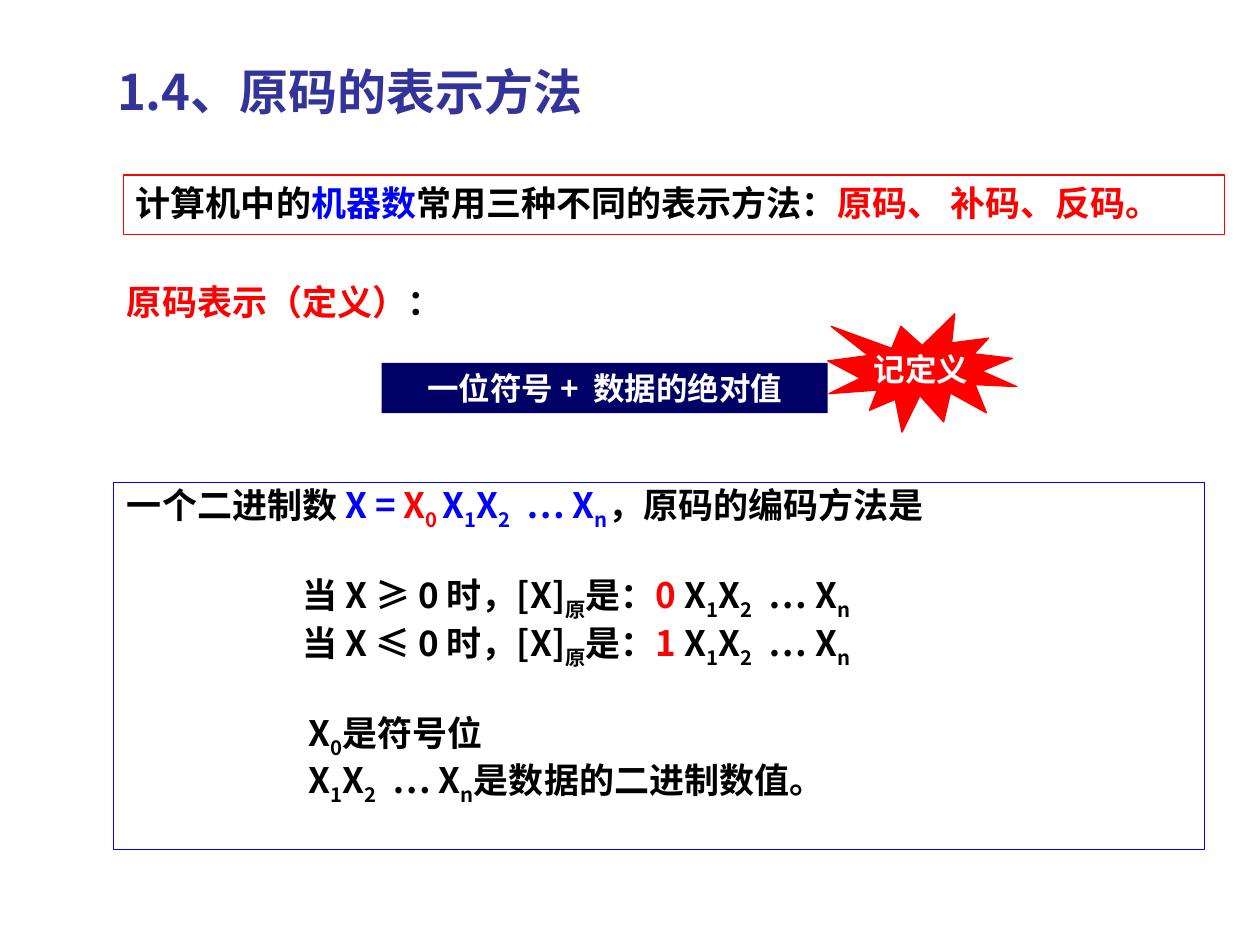
"""Builds the slide on the sign-magnitude representation of binary numbers."""
from dataclasses import dataclass
from typing import Optional

from lxml.etree import SubElement
from pptx import Presentation
from pptx.dml.color import RGBColor
from pptx.enum.shapes import MSO_SHAPE
from pptx.enum.text import MSO_ANCHOR, PP_ALIGN
from pptx.oxml.ns import qn
from pptx.util import Inches, Pt

FONT = "Noto Sans CJK SC"
BLACK, WHITE, RED, BLUE = "000000", "FFFFFF", "FF0000", "0000FF"
NAVY, INDIGO = "000066", "333399"
CASE_INDENT, BIT_INDENT = 1.39, 1.44


@dataclass
class Piece:
    text: str
    color: str = BLACK
    subscript: bool = False


@dataclass
class Line:
    pieces: list[Piece]
    indent: float = 0
    before: float = 0


@dataclass
class Panel:
    kind: MSO_SHAPE
    place: tuple[float, float, float, float]
    fill: Optional[str] = None
    outline: Optional[str] = None
    pieces: tuple[Piece, ...] = ()
    size: float = 18
    align: PP_ALIGN = PP_ALIGN.CENTER
    anchor: MSO_ANCHOR = MSO_ANCHOR.TOP
    wrap: bool = True
    before: float = 0


def rgb(color: str) -> RGBColor:
    return RGBColor.from_string(color)


def write_pieces(paragraph, pieces, size: float) -> None:
    for piece in pieces:
        run = paragraph.add_run()
        run.text = piece.text
        run.font.size = Pt(size)
        run.font.bold = True
        run.font.name = FONT
        run.font.color.rgb = rgb(piece.color)
        properties = run._r.get_or_add_rPr()
        SubElement(properties, qn("a:ea")).set("typeface", FONT)
        if piece.subscript:
            properties.set("baseline", "-25000")


def write_title(slide, text: str) -> None:
    title = slide.shapes.title
    title.left, title.top = Inches(0.83), Inches(0.44)
    title.width, title.height = Inches(4.49), Inches(0.57)
    frame = title.text_frame
    frame.word_wrap = True
    frame.vertical_anchor = MSO_ANCHOR.TOP
    frame.paragraphs[0].alignment = PP_ALIGN.LEFT
    write_pieces(frame.paragraphs[0], [Piece(text, INDIGO)], 28)


def draw_panel(slide, panel: Panel) -> None:
    shape = slide.shapes.add_shape(panel.kind, *map(Inches, panel.place))
    shape.shadow.inherit = False
    if panel.fill:
        shape.fill.solid()
        shape.fill.fore_color.rgb = rgb(panel.fill)
    else:
        shape.fill.background()
    if panel.outline:
        shape.line.color.rgb = rgb(panel.outline)
        shape.line.width = Pt(0.75)
    else:
        shape.line.fill.background()
    frame = shape.text_frame
    frame.word_wrap = panel.wrap
    frame.vertical_anchor = panel.anchor
    frame.paragraphs[0].alignment = panel.align
    write_pieces(frame.paragraphs[0], panel.pieces, panel.size)


def write_lines(slide, place: tuple[float, ...], lines: list[Line]) -> None:
    frame = slide.shapes.add_textbox(*map(Inches, place)).text_frame
    frame.word_wrap = True
    for index, line in enumerate(lines):
        paragraph = frame.add_paragraph() if index else frame.paragraphs[0]
        paragraph._p.get_or_add_pPr().set("marL", str(Inches(line.indent)))
        if line.before:
            paragraph.space_before = Pt(line.before)
        write_pieces(paragraph, line.pieces, 20)


def digits(color: str = BLACK) -> list[Piece]:
    return [
        Piece("X", color), Piece("1", color, True),
        Piece("X", color), Piece("2", color, True),
        Piece("  … X", color), Piece("n", color, True),
    ]


def sign_case(relation: str, sign: str, before: float = 0) -> Line:
    pieces = [
        Piece(f"当 X {relation} 0 时，[X]"), Piece("原", subscript=True),
        Piece("是："), Piece(f"{sign} ", RED), *digits(),
    ]
    return Line(pieces, CASE_INDENT, before)


def main() -> None:
    deck = Presentation()
    deck.slide_width, deck.slide_height = Inches(10), Inches(7.5)
    slide = deck.slides.add_slide(deck.slide_layouts[5])

    write_title(slide, "1.4、原码的表示方法")
    methods = (
        Piece("计算机中的"), Piece("机器数", BLUE),
        Piece("常用三种不同的表示方法："), Piece("原码、 补码、反码。", RED),
    )
    draw_panel(slide, Panel(MSO_SHAPE.RECTANGLE, (0.98, 1.39, 8.74, 0.47), WHITE, RED,
                            methods, 20, PP_ALIGN.LEFT))
    write_lines(slide, (0.91, 2.18, 8.66, 4.67), [
        Line([Piece("原码表示（定义）", RED), Piece("：")]),
        Line([Piece("一个二进制数 "), Piece("X = ", BLUE), Piece("X", RED),
              Piece("0 ", RED, True), *digits(BLUE), Piece("，原码的编码方法是")], before=92),
        sign_case("≥", "0", before=24),
        sign_case("≤", "1"),
        Line([Piece("X"), Piece("0", subscript=True), Piece("是符号位")], BIT_INDENT, 24),
        Line([*digits(), Piece("是数据的二进制数值。")], BIT_INDENT),
    ])
    for panel in (
        Panel(MSO_SHAPE.RECTANGLE, (3.03, 2.88, 3.54, 0.4), NAVY,
              pieces=(Piece("一位符号 +  数据的绝对值", WHITE),)),
        Panel(MSO_SHAPE.RECTANGLE, (0.9, 3.83, 8.66, 2.91), outline=BLUE),
        Panel(MSO_SHAPE.EXPLOSION1, (6.57, 2.49, 1.5, 0.94), RED, RED,
              (Piece("记定义", WHITE),), anchor=MSO_ANCHOR.MIDDLE, wrap=False),
    ):
        draw_panel(slide, panel)
    deck.save("out.pptx")


if __name__ == "__main__":
    main()
